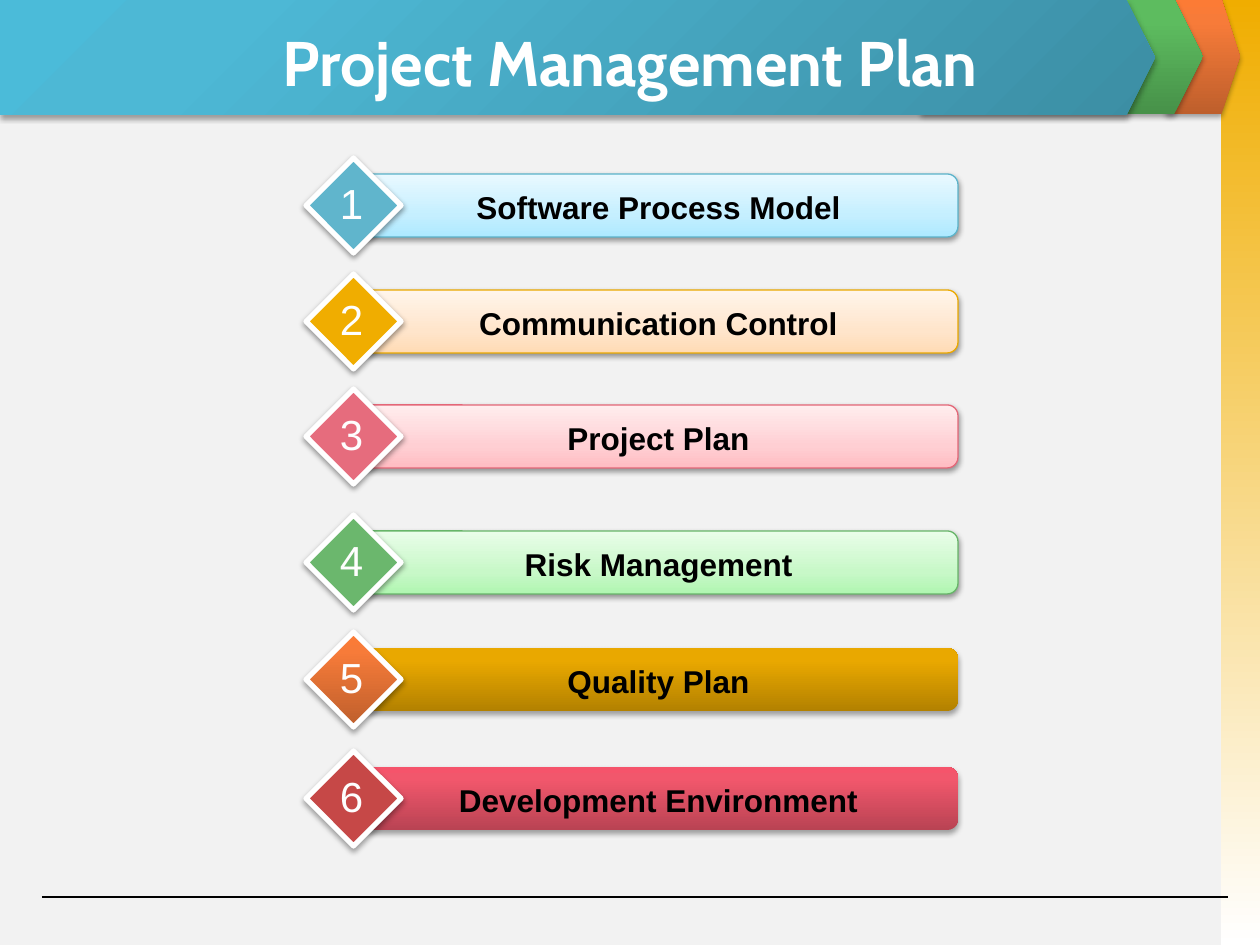
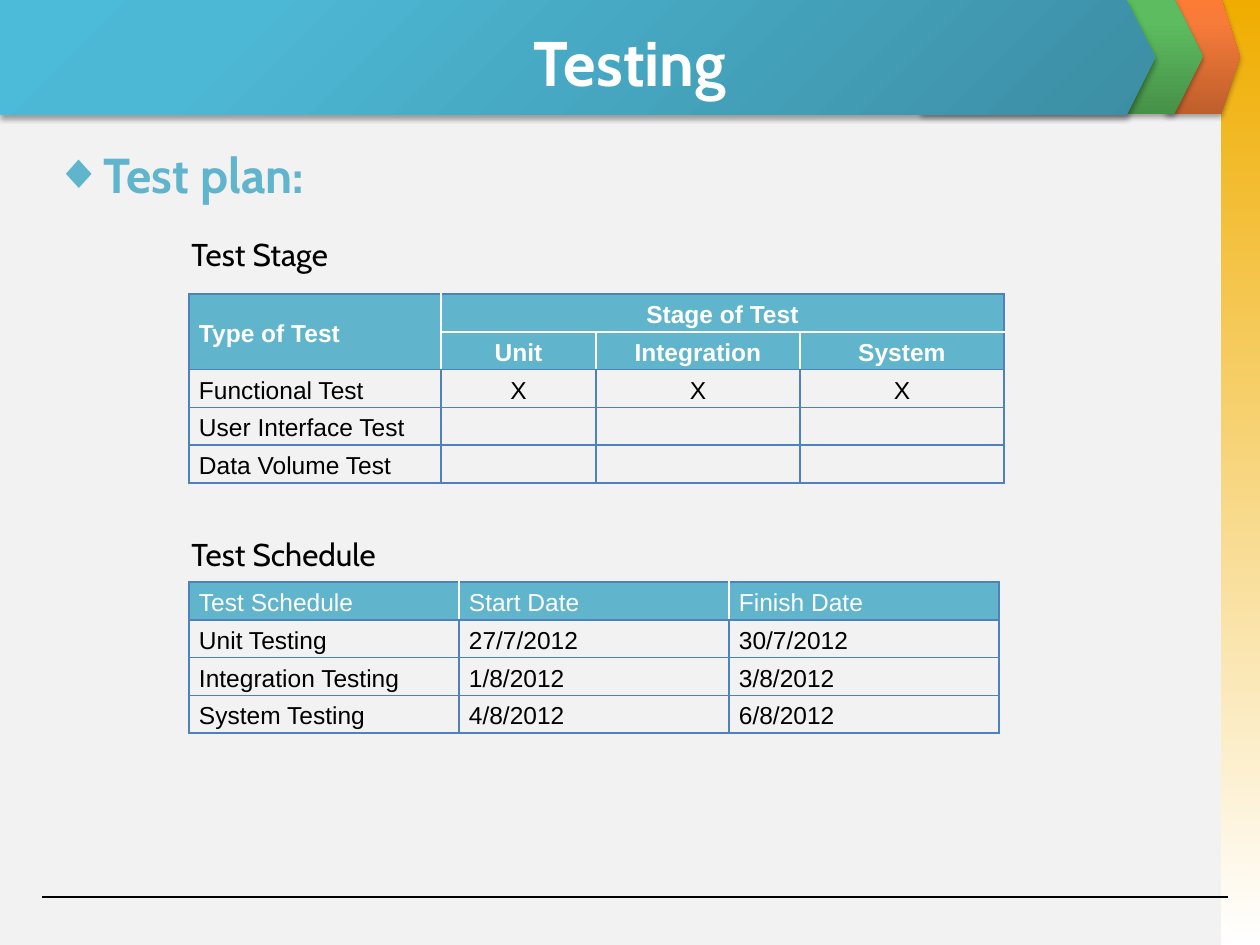
"""Build the project plan agenda and the testing slide."""
from lxml import etree
from pptx import Presentation
from pptx import util as u
from pptx.dml.color import RGBColor
from pptx.enum import shapes, text
from pptx.oxml.ns import qn


class Theme:
    heading, body = "Cabin", "Arial"
    page, white, black = "F2F2F2", "FFFFFF", "000000"
    number, accent, grid = "FEFEFE", "60B5CC", "4F81BD"
    amber, rose, leaf, brick = "F0AD00", "E66C7D", "6BB76D", "C64847"
    fade = ((0, "F0AD00"), (100, "FFFFFF"))
    orange = ((0, "BE5F2C"), (80, "F77B39"), (100, "FC7B35"))
    green = ((0, "479149"), (80, "5DBC5F"), (100, "5BBF5E"))
    teal = ((0, "3C8EA4"), (80, "4DB8D5"), (100, "4BBBD9"))
    pale_blue = ((0, "ADE9FF"), (35, "C5EFFF"), (100, "E9F9FF"))
    pale_amber = ((0, "FFDBB5"), (35, "FFE5CB"), (100, "FFF5EB"))
    pale_rose = ((0, "FFBCC2"), (35, "FFCFD3"), (100, "FFEDEE"))
    pale_green = ((0, "B0F6B1"), (35, "C8F8C8"), (100, "E9FDE9"))
    gold = ((0, "B38100"), (80, "E9A800"), (100, "EAA800"))
    red = ((0, "B94353"), (80, "F1576C"), (100, "F5546B"))
    title_size, topic_size, number_size, label_size, cell_size = 36, 28, 24, 18, 14


SOFT, STRONG = (38, 20000), (35, 23000)

AGENDA = [
    ("Software Process Model", 174, Theme.pale_blue, "5BB3CA", Theme.accent, SOFT),
    ("Communication Control", 290, Theme.pale_amber, "EBA900", Theme.amber, SOFT),
    ("Project Plan", 405, Theme.pale_rose, "E46778", Theme.rose, SOFT),
    ("Risk Management", 531, Theme.pale_green, "67B569", Theme.leaf, SOFT),
    ("Quality Plan", 648, Theme.gold, None, Theme.orange, STRONG),
    ("Development Environment", 767, Theme.red, None, Theme.brick, STRONG),
]
STAGES = dict(
    place=(189, 294), columns=(252, 155, 204, 204), heads=2, bold=True,
    centred=True, merges=(((0, 0), (1, 0)), ((0, 1), (0, 3))),
    rows=[
        ("Type of Test", "Stage of Test", "", ""),
        ("", "Unit", "Integration", "System"),
        ("Functional Test", "X", "X", "X"),
        ("User Interface Test", "", "", ""),
        ("Data Volume Test", "", "", ""),
    ])
SCHEDULE = dict(
    place=(189, 582), columns=(270, 270, 270), heads=1, bold=False,
    centred=False, merges=(),
    rows=[
        ("Test Schedule", "Start Date", "Finish Date"),
        ("Unit Testing", "27/7/2012", "30/7/2012"),
        ("Integration Testing", "1/8/2012", "3/8/2012"),
        ("System Testing", "4/8/2012", "6/8/2012"),
    ])

PAGE_W, PAGE_H = 1260, 945
BAND_H, BAR_H, DIAMOND, ROW_H = 115, 63, 95, 37
LEFT, CENTRE, JUSTIFY = text.PP_ALIGN.LEFT, text.PP_ALIGN.CENTER, text.PP_ALIGN.JUSTIFY
MIDDLE = text.MSO_ANCHOR.MIDDLE


def px(length):
    return u.Emu(round(length * 914400 / 126))


def node(parent, tag, **attributes):
    return etree.SubElement(parent, qn(f"a:{tag}"), {k: str(v) for k, v in attributes.items()})


def paint(fill, colour):
    fill.solid()
    fill.fore_color.rgb = RGBColor.from_string(colour)


def paint_gradient(shape, stops, angle):
    shape.fill.gradient()
    gradient = shape._element.spPr.find(qn("a:gradFill"))
    for child in list(gradient):
        gradient.remove(child)
    stop_list = node(gradient, "gsLst")
    for position, colour in stops:
        node(node(stop_list, "gs", pos=position * 1000), "srgbClr", val=colour)
    if angle is None:
        corner = node(gradient, "path", path="circle")
        node(corner, "fillToRect", l=100000, t=100000, r=0, b=0)
    else:
        node(gradient, "lin", ang=angle * 60000, scaled=0)


def add_shape(slide, kind, box, fill, shadow=None, edge=None, adjust=None, angle=270):
    shape = slide.shapes.add_shape(kind, *map(px, box))
    if adjust is not None:
        shape.adjustments[0] = adjust
    if isinstance(fill, str):
        paint(shape.fill, fill)
    else:
        paint_gradient(shape, fill, angle)
    if edge:
        colour, width = edge
        paint(shape.line.fill, colour)
        shape.line.width = u.Pt(width)
    else:
        shape.line.fill.background()
    shape.shadow.inherit = False
    if shadow:
        alpha, distance = shadow
        effects = shape._element.spPr.find(qn("a:effectLst"))
        outer = node(effects, "outerShdw", blurRad=40000, dist=distance, dir=5400000, rotWithShape=0)
        node(node(outer, "srgbClr", val=Theme.black), "alpha", val=alpha * 1000)


def add_run(paragraph, words, size, colour, font, bold=False):
    run = paragraph.add_run()
    run.text = words
    run.font.size = u.Pt(size)
    run.font.name = font
    run.font.bold = bold
    run.font.color.rgb = RGBColor.from_string(colour)


def add_text(slide, words, box, size, colour, font, bold=False, align=LEFT,
             wrap=True, anchor=text.MSO_ANCHOR.TOP, bullet=None, spacing=None):
    frame = slide.shapes.add_textbox(*map(px, box)).text_frame
    frame.word_wrap = wrap
    frame.vertical_anchor = anchor
    paragraph = frame.paragraphs[0]
    paragraph.alignment = align
    if spacing:
        paragraph.line_spacing = spacing
    if bullet:
        properties = paragraph._p.get_or_add_pPr()
        properties.set("marL", str(px(48)))
        properties.set("indent", str(px(-48)))
        node(node(properties, "buClr"), "srgbClr", val=colour)
        node(properties, "buFont", typeface=Theme.body)
        node(properties, "buChar", char=bullet)
    add_run(paragraph, words, size, colour, font, bold)


def add_borders(cell, whites):
    properties = cell._tc.get_or_add_tcPr()
    for side in "LRTB":
        line = node(properties, f"ln{side}", w=u.Pt(1))
        colour = Theme.white if side in whites else Theme.grid
        node(node(line, "solidFill"), "srgbClr", val=colour)


def white_sides(cell, row, column, heads, columns):
    sides = {
        "L": column > 0,
        "R": column + cell.span_width < columns,
        "T": row > 0,
        "B": row + cell.span_height < heads,
    }
    return [side for side, white in sides.items() if white and row < heads]


def add_table(slide, place, columns, heads, bold, centred, merges, rows):
    size = sum(columns), ROW_H * len(rows)
    table = slide.shapes.add_table(len(rows), len(columns), *map(px, place + size)).table
    table.first_row = table.horz_banding = False
    for column, width in zip(table.columns, columns):
        column.width = px(width)
    for row in table.rows:
        row.height = px(ROW_H)
    for start, end in merges:
        table.cell(*start).merge(table.cell(*end))
    for r, words_in_row in enumerate(rows):
        head = r < heads
        for c, words in enumerate(words_in_row):
            cell = table.cell(r, c)
            cell.margin_left = cell.margin_right = px(10)
            cell.margin_top = cell.margin_bottom = px(2)
            cell.vertical_anchor = MIDDLE
            if not cell.is_spanned:
                add_borders(cell, white_sides(cell, r, c, heads, len(columns)))
            if head:
                paint(cell.fill, Theme.accent)
            else:
                cell.fill.background()
            paragraph = cell.text_frame.paragraphs[0]
            paragraph.alignment = CENTRE if centred and c else JUSTIFY
            paragraph.line_spacing = 1.15
            if words:
                add_run(paragraph, words, Theme.cell_size,
                        Theme.white if head else Theme.black, Theme.body, head and bold)
            else:
                node(paragraph._p, "endParaRPr", sz=Theme.cell_size * 100)


def add_page(deck, title):
    slide = deck.slides.add_slide(deck.slide_layouts[6])
    paint(slide.background.fill, Theme.page)
    kind = shapes.MSO_SHAPE
    add_shape(slide, kind.RECTANGLE, (1221, 0, 39, PAGE_H), Theme.fade, angle=90)
    for box, fill in (((1166, -1, 74, BAND_H), Theme.orange),
                      ((921, -1, 282, BAND_H), Theme.green)):
        add_shape(slide, kind.PENTAGON, box, fill, STRONG, adjust=0.25)
    rule = slide.shapes.add_connector(shapes.MSO_CONNECTOR.STRAIGHT,
                                      *map(px, (42, 897, 1228, 897)))
    paint(rule.line.fill, Theme.black)
    rule.line.width = u.Pt(0.75)
    node(rule._element.spPr, "effectLst")
    add_shape(slide, kind.PENTAGON, (0, 0, 1155, BAND_H), Theme.teal, STRONG,
              adjust=0.25, angle=None)
    add_text(slide, title, (63, 18, 1134, 87), Theme.title_size, Theme.white,
             Theme.heading, bold=True, align=CENTRE, anchor=MIDDLE)
    return slide


def add_agenda(slide):
    kind = shapes.MSO_SHAPE
    for number, (topic, top, bar, edge, diamond, shadow) in enumerate(AGENDA, 1):
        add_shape(slide, kind.ROUNDED_RECTANGLE, (359, top, 599, BAR_H), bar, shadow,
                  edge and (edge, 0.75), adjust=0.17)
        add_shape(slide, kind.DIAMOND, (306, top + (BAR_H - DIAMOND) // 2, DIAMOND, DIAMOND),
                  diamond, shadow, (Theme.white, 3))
        add_text(slide, topic, (391, top + 8, 535, 50), Theme.label_size, Theme.black,
                 Theme.body, bold=True, align=CENTRE)
        add_text(slide, str(number), (327, top - 3, 49, 63), Theme.number_size,
                 Theme.number, Theme.body, align=CENTRE, wrap=False)


def add_testing(slide):
    add_text(slide, "Test plan:", (42, 138, 1134, 67), Theme.topic_size, Theme.accent,
             Theme.heading, bold=True, bullet="◆")
    add_table(slide, **STAGES)
    add_table(slide, **SCHEDULE)
    add_text(slide, "Test Stage", (179, 229, 199, 50), Theme.label_size, Theme.black,
             Theme.heading)
    add_text(slide, "Test Schedule", (179, 523, 242, 54), Theme.label_size, Theme.black,
             Theme.heading, spacing=1.15)


def main():
    deck = Presentation()
    deck.slide_width, deck.slide_height = px(PAGE_W), px(PAGE_H)
    add_agenda(add_page(deck, "Project Management Plan"))
    add_testing(add_page(deck, "Testing"))
    deck.save("out.pptx")


if __name__ == "__main__":
    main()
